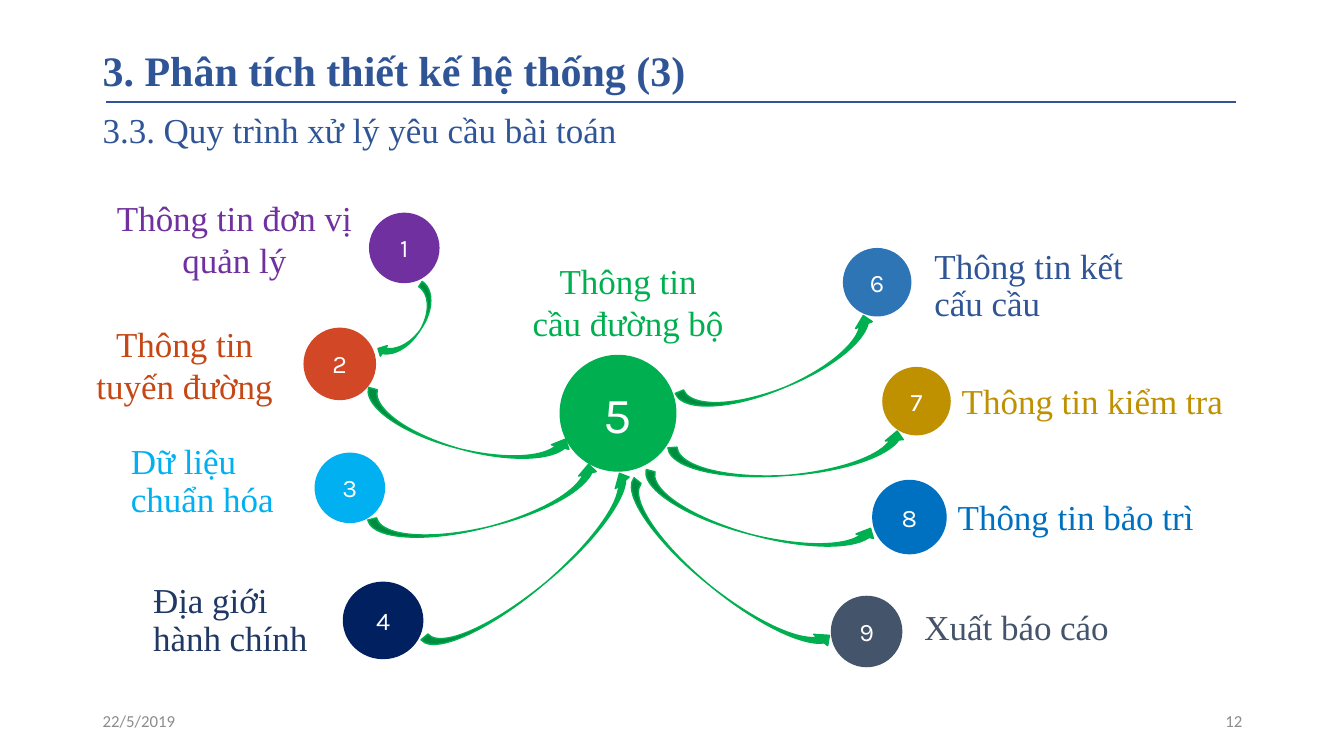
"""Build the slide on the nine-step process for road bridge information."""
from dataclasses import dataclass

from lxml import etree
from pptx import Presentation
from pptx import util as u
from pptx.dml.color import RGBColor
from pptx.enum import shapes, text
from pptx.oxml.ns import qn

PX = 9144


@dataclass(frozen=True)
class Theme:
    heading: str = "2F5597"
    white: str = "FFFFFF"
    muted: str = "8C8C8C"
    green: str = "00B050"
    serif: str = "Times New Roman"
    digits: str = "Karla"
    sans: str = "Calibri"
    title_size: int = 30
    body_size: int = 25
    hub_size: int = 36
    step_size: int = 18
    footer_size: int = 12


theme = Theme()
LEFT, CENTER, RIGHT = text.PP_ALIGN.LEFT, text.PP_ALIGN.CENTER, text.PP_ALIGN.RIGHT
TOP, MIDDLE = text.MSO_ANCHOR.TOP, text.MSO_ANCHOR.MIDDLE

deck = Presentation()
deck.slide_width, deck.slide_height = 1333 * PX, 750 * PX
page = deck.slides.add_slide(deck.slide_layouts[6])


def write(box, words, font, size, color, align=LEFT, anchor=TOP, bold=False):
    frame = box.text_frame
    frame.text = words
    frame.word_wrap = True
    frame.vertical_anchor = anchor
    for para in frame.paragraphs:
        para.alignment = align
        for span in para.runs:
            span.font.name = font
            span.font.size = u.Pt(size)
            span.font.bold = bold
            span.font.color.rgb = RGBColor.from_string(color)
    return frame


def add_filled(kind, area, color):
    shape = page.shapes.add_shape(kind, *(n * PX for n in area))
    shape.shadow.inherit = False
    shape.fill.solid()
    shape.fill.fore_color.rgb = RGBColor.from_string(color)
    return shape


title = page.shapes.add_textbox(92 * PX, 44 * PX, 1133 * PX, 57 * PX)
write(title, "3. Phân tích thiết kế hệ thống (3)", theme.serif, theme.title_size,
      theme.heading, anchor=MIDDLE, bold=True).paragraphs[0].line_spacing = 0.9

rule = page.shapes.add_connector(
    shapes.MSO_CONNECTOR.STRAIGHT, 105 * PX, 101 * PX, 1226 * PX, 101 * PX)
rule.line.color.rgb = RGBColor.from_string(theme.heading)
rule.line.width = u.Pt(1.5)
etree.SubElement(rule._element.spPr, qn("a:effectLst"))

for left, words, align in ((92, "22/5/2019", LEFT), (942, "12", RIGHT)):
    footer = page.shapes.add_textbox(left * PX, 695 * PX, 300 * PX, 40 * PX)
    write(footer, words, theme.sans, theme.footer_size, theme.muted, align, MIDDLE)

labels = (
    ("3.3. Quy trình xử lý yêu cầu bài toán", (92, 107, 1134, 46), theme.heading, LEFT),
    ("Thông tin đơn vị\nquản lý", (105, 190, 255, 99), "7030A0", CENTER),
    ("Thông tin\ntuyến đường", (74, 315, 218, 91), "C54715", CENTER),
    ("Dữ liệu chuẩn hóa", (120, 436, 168, 82), "00B0F0", LEFT),
    ("Địa giới hành chính", (142, 574, 194, 85), "203864", LEFT),
    ("Thông tin\ncầu đường bộ", (486, 253, 274, 99), theme.green, CENTER),
    ("Thông tin kết cấu cầu", (917, 242, 214, 77), theme.heading, LEFT),
    ("Thông tin kiểm tra", (944, 376, 282, 46), "BF9000", LEFT),
    ("Thông tin bảo trì", (940, 491, 265, 46), "0070C0", LEFT),
    ("Xuất báo cáo", (907, 601, 212, 46), "44546A", LEFT),
)
for words, area, color, align in labels:
    label = page.shapes.add_textbox(*(n * PX for n in area))
    frame = write(label, words, theme.serif, theme.body_size, color, align)
    if align == LEFT:
        frame.paragraphs[0].line_spacing = 0.9
        frame.paragraphs[0].space_before = u.Pt(10)

steps = (
    ((366, 211, 70, 70), "7030A0", theme.step_size),
    ((301, 325, 72, 72), "D24726", theme.step_size),
    ((312, 449, 70, 70), "00B0F0", theme.step_size),
    ((340, 577, 80, 77), "002060", theme.step_size),
    ((555, 352, 116, 116), theme.green, theme.hub_size),
    ((836, 246, 68, 68), "2E75B6", theme.step_size),
    ((875, 364, 68, 68), "BF9000", theme.step_size),
    ((865, 476, 74, 74), "0070C0", theme.step_size),
    ((824, 591, 71, 71), "44546A", theme.step_size),
)
for number, (area, color, size) in enumerate(steps, 1):
    circle = add_filled(shapes.MSO_SHAPE.OVAL, area, color)
    circle.line.fill.background()
    frame = write(circle, str(number), theme.digits, size, theme.white, CENTER, MIDDLE)
    frame.margin_left = frame.margin_right = frame.margin_top = frame.margin_bottom = 0

bend_left = shapes.MSO_SHAPE.CURVED_LEFT_ARROW
bend_right = shapes.MSO_SHAPE.CURVED_RIGHT_ARROW
arrows = (
    (bend_left, (393, 279, 25, 86), 33.4),
    (bend_right, (445, 323, 36, 211), 284.7),
    (bend_right, (513, 430, 36, 266), 230),
    (bend_right, (465, 387, 36, 235), 255.8),
    (bend_right, (734, 394, 36, 239), 284.7),
    (bend_right, (764, 335, 36, 237), 265.8),
    (bend_right, (756, 261, 36, 211), 247.5),
    (bend_right, (700, 440, 36, 258), 308.9),
)
for kind, area, angle in arrows:
    arrow = add_filled(kind, area, theme.green)
    arrow.rotation = angle
    arrow.line.color.rgb = RGBColor.from_string(theme.green)
    arrow.line.width = u.Pt(1)

deck.save("out.pptx")
